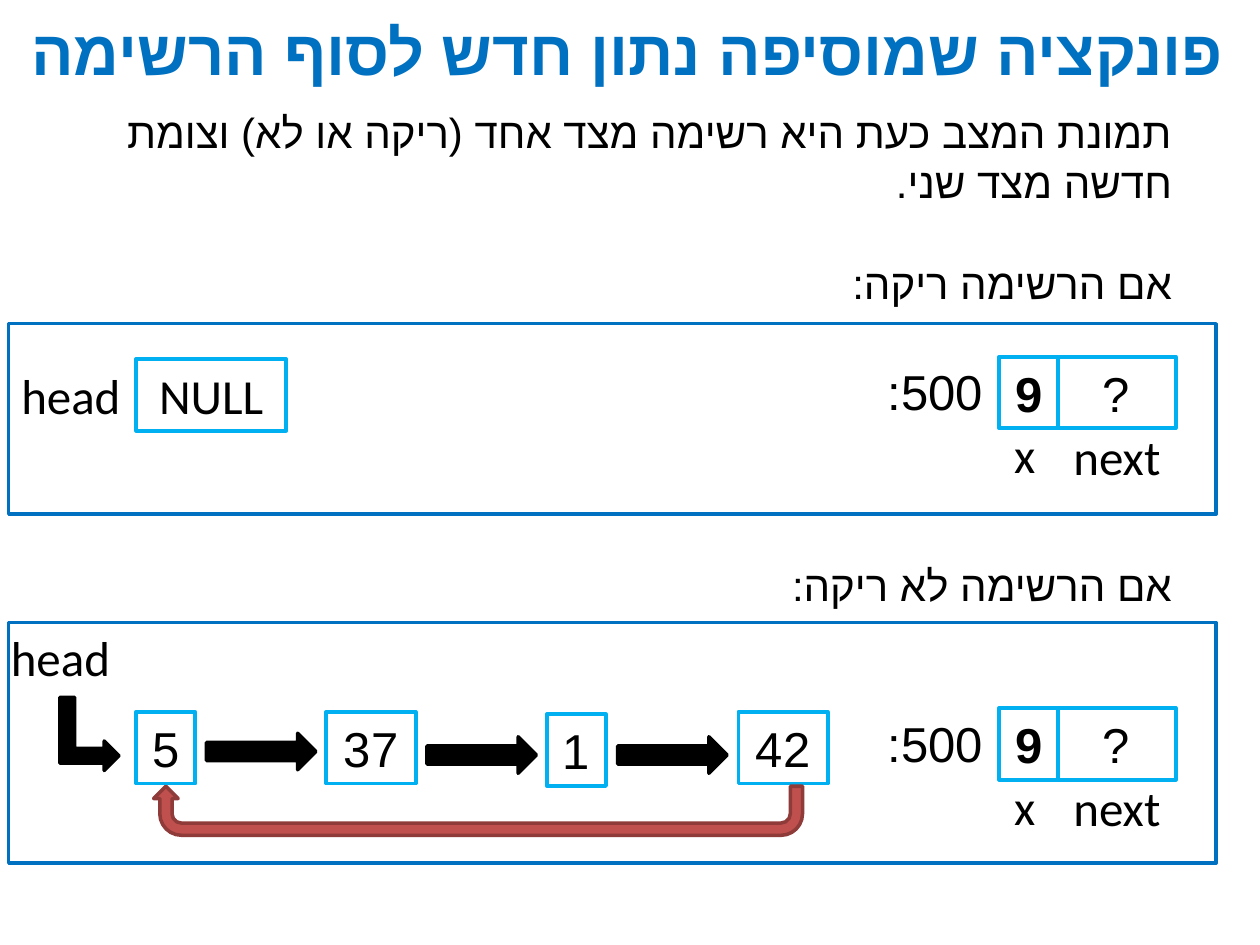
from dataclasses import dataclass

from pptx import Presentation
from pptx.dml.color import RGBColor
from pptx.enum.shapes import MSO_SHAPE
from pptx.enum.text import MSO_ANCHOR, MSO_AUTO_SIZE, PP_ALIGN
from pptx.oxml.ns import qn
from pptx.util import Pt

RECT = MSO_SHAPE.RECTANGLE
RIGHT = MSO_SHAPE.RIGHT_ARROW
BENT = MSO_SHAPE.BENT_UP_ARROW
UTURN = MSO_SHAPE.U_TURN_ARROW
MIDDLE, TOP = MSO_ANCHOR.MIDDLE, MSO_ANCHOR.TOP
NO_FIT = MSO_AUTO_SIZE.NONE
CENTER, FLUSH = PP_ALIGN.CENTER, PP_ALIGN.RIGHT


@dataclass(frozen=True)
class Theme:
    ink: RGBColor = RGBColor.from_string("000000")
    blue: RGBColor = RGBColor.from_string("0070C0")
    sky: RGBColor = RGBColor.from_string("00B0F0")
    red: RGBColor = RGBColor.from_string("C0504D")
    wine: RGBColor = RGBColor.from_string("8E3B39")
    head_font: str = "Arial"
    font: str = "Calibri"
    hebrew: str = "Arial"
    head_size: float = 36
    body_size: float = 24
    node_size: float = 28
    thin: float = 2
    thick: float = 2.25
    row: float = 41


class Board:
    def __init__(self, slide, theme):
        self.slide, self.theme = slide, theme

    def place(self, item, x, y, w, h):
        item.left, item.top, item.width, item.height = Pt(x), Pt(y), Pt(w), Pt(h)

    def add_run(self, para, text, size, font=None, color=None, bold=False, align=CENTER):
        """Fill a right-to-left paragraph with one run."""
        para.alignment = align
        para._p.get_or_add_pPr().set("rtl", "1")
        run = para.add_run()
        run.text = text
        run.font.size = Pt(size)
        run.font.bold = bold
        run.font.name = font or self.theme.font
        run.font.color.rgb = color or self.theme.ink
        props = run._r.get_or_add_rPr()
        script = props.makeelement(qn("a:cs"), {"typeface": self.theme.hebrew})
        props.find(qn("a:latin")).addnext(script)

    def title(self, text, *box):
        item = self.slide.shapes.title
        self.place(item, *box)
        frame = item.text_frame
        frame.auto_size, frame.vertical_anchor = NO_FIT, MIDDLE
        self.add_run(frame.paragraphs[0], text, self.theme.head_size,
                     self.theme.head_font, self.theme.blue, True)

    def body(self, lines, *box):
        """Put (text, space before) pairs into the body placeholder."""
        item = self.slide.placeholders[1]
        self.place(item, *box)
        frame = item.text_frame
        frame.auto_size, frame.vertical_anchor = NO_FIT, TOP
        for i, (text, gap) in enumerate(lines):
            para = frame.add_paragraph() if i else frame.paragraphs[0]
            para.level = 1
            para.space_before = Pt(gap)
            props = para._p.get_or_add_pPr()
            props.set("marL", str(Pt(36)))
            props.set("indent", "0")
            props.append(props.makeelement(qn("a:buNone"), {}))
            self.add_run(para, text, self.theme.body_size, align=FLUSH)

    def shape(self, kind, x, y, w, h, line, width, fill=None, turn=0):
        item = self.slide.shapes.add_shape(kind, Pt(x), Pt(y), Pt(w), Pt(h))
        item.shadow.inherit = False
        item.rotation = turn
        item.line.color.rgb = line
        item.line.width = Pt(width)
        if fill is None:
            item.fill.background()
        else:
            item.fill.solid()
            item.fill.fore_color.rgb = fill
        return item

    def cell(self, text, x, y, w, bold=False):
        item = self.shape(RECT, x, y, w, self.theme.row, self.theme.sky, self.theme.thick)
        item.text_frame.vertical_anchor = MIDDLE
        self.add_run(item.text_frame.paragraphs[0], text, self.theme.node_size, bold=bold)

    def label(self, text, x, y, w):
        item = self.slide.shapes.add_textbox(Pt(x), Pt(y), Pt(w), Pt(self.theme.row))
        item.text_frame.word_wrap = True
        self.add_run(item.text_frame.paragraphs[0], text, self.theme.node_size)

    def arrow(self, kind, x, y, w, h, turn=0):
        self.shape(kind, x, y, w, h, self.theme.ink, self.theme.thin, self.theme.ink, turn)

    def loop(self, *box):
        item = self.shape(UTURN, *box, self.theme.wine, self.theme.thin, self.theme.red, 180)
        for i, value in enumerate((0.25, 0.25, 0.25, 0.44, 1)):
            item.adjustments[i] = value

    def panel(self, y, h):
        self.shape(RECT, 5, y, 690, h, self.theme.blue, self.theme.thin)

    def node(self, y):
        """Draw the new node with its address and field names."""
        self.cell("9", 571, y, 33.6, True)
        self.label("500:", 499.7, y - 0.7, 69.8)
        self.cell("?", 604.3, y, 67.5)
        self.label("x", 560, y + 35.4, 51)
        self.label("next", 602.6, y + 36.4, 71.3)


def main():
    deck = Presentation()
    deck.slide_width, deck.slide_height = Pt(720), Pt(540)
    board = Board(deck.slides.add_slide(deck.slide_layouts[1]), Theme())

    board.body([
        ("תמונת המצב כעת היא רשימה מצד אחד (ריקה או לא) וצומת חדשה מצד שני.", 0),
        ("אם הרשימה ריקה:", 28.8),
        ("אם הרשימה לא ריקה:", 144),
    ], 5, 57, 708, 298)
    board.title("פונקציה שמוסיפה נתון חדש לסוף הרשימה", 0, 0, 717, 58)

    for text, x, y, w in (("5", 77.8, 406.8, 33.8), ("37", 186.5, 406.8, 51),
                          ("1", 312.5, 408.2, 33.8), ("42", 422, 406.8, 51)):
        board.cell(text, x, y, w)
    for x, y in ((118, 419), (244, 421), (353, 421)):
        board.arrow(RIGHT, x, y, 62.6, 20.9)
    board.label("head", -8, 355, 85)
    board.arrow(BENT, 30.2, 402.5, 41.8, 33.8, 90)
    board.loop(87.8, 449.3, 370.8, 28)

    board.label("head", -2, 205.2, 85)
    board.cell("NULL", 77.8, 205.2, 85.7)
    for y in (203.8, 404.6):
        board.node(y)
    board.panel(185, 108.7)
    board.panel(355.7, 137.5)
    deck.save("out.pptx")


if __name__ == "__main__":
    main()
